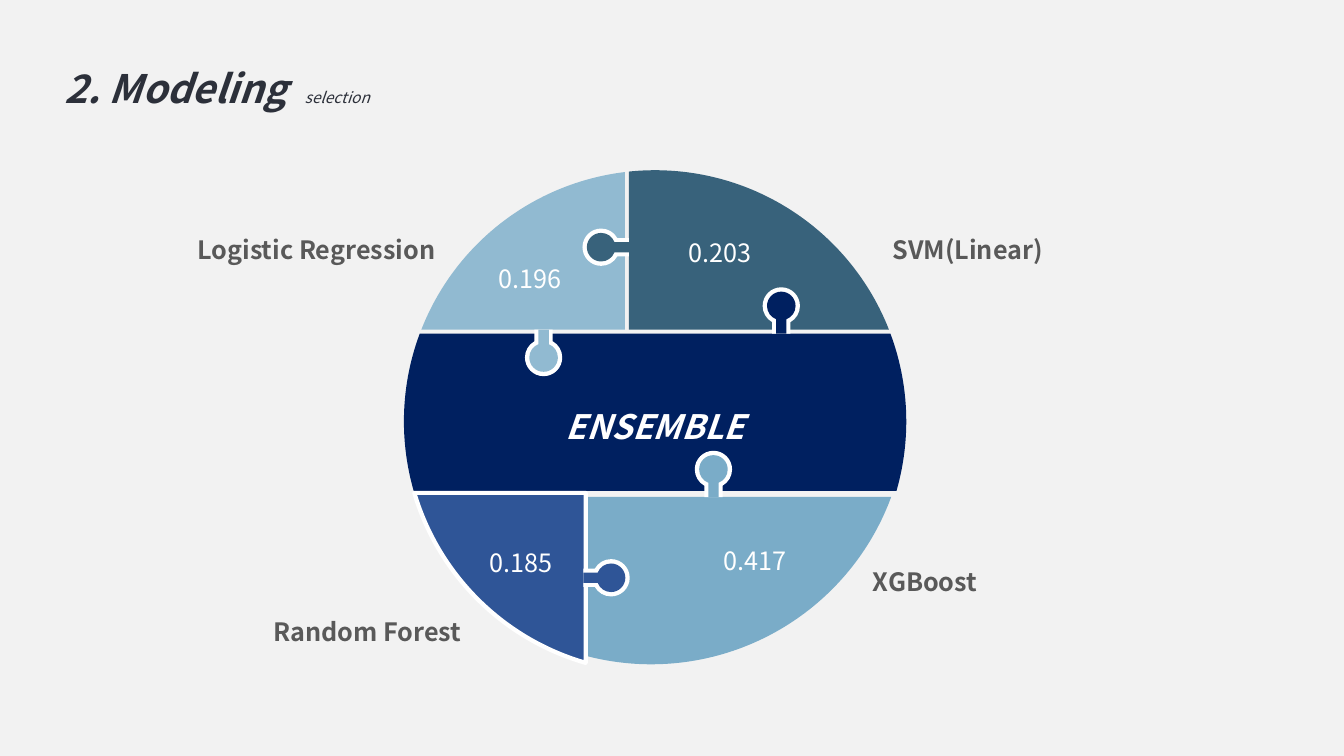
from dataclasses import dataclass
from itertools import product
from math import asin, atan2, cos, hypot, isclose, pi, remainder, sin, sqrt, tan

from lxml.etree import Element
from pptx import Presentation
from pptx.dml.color import RGBColor
from pptx.enum.text import MSO_ANCHOR, MSO_AUTO_SIZE, PP_ALIGN
from pptx.oxml.ns import qn
from pptx.shapes.autoshape import Shape
from pptx.slide import Slide
from pptx.text.text import _Paragraph, _Run
from pptx.util import Cm, Pt

FONT = "Noto Sans CJK KR"
BACKGROUND = RGBColor(0xF2, 0xF2, 0xF2)
WHITE = RGBColor(0xFF, 0xFF, 0xFF)
INK = RGBColor(0x2C, 0x30, 0x3A)
GREY = RGBColor(0x59, 0x59, 0x59)
TEAL = RGBColor(0x38, 0x62, 0x7B)
PALE = RGBColor(0x91, 0xBA, 0xD1)
NAVY = RGBColor(0x00, 0x20, 0x60)
SKY = RGBColor(0x7A, 0xAC, 0xC8)
BLUE = RGBColor(0x2F, 0x55, 0x97)

WIDTH, HEIGHT = 33.87, 19.05
TAB_REACH = 0.7
UP, DOWN, LEFT, RIGHT = (0, -1), (0, 1), (-1, 0), (1, 0)

Point = tuple[float, float]


@dataclass(frozen=True)
class Circle:
    x: float
    y: float
    r: float

    def at(self, angle: float) -> Point:
        return self.x + self.r * cos(angle), self.y + self.r * sin(angle)

    def holds(self, p: Point) -> bool:
        return isclose(hypot(p[0] - self.x, p[1] - self.y), self.r)

    def controls(self, p: Point, q: Point) -> tuple[Point, Point]:
        a, b = (atan2(y - self.y, x - self.x) for x, y in (p, q))
        h = self.r * 4 / 3 * tan(remainder(b - a, 2 * pi) / 4)
        return (
            (p[0] - h * sin(a), p[1] + h * cos(a)),
            (q[0] + h * sin(b), q[1] - h * cos(b)),
        )


@dataclass(frozen=True)
class Piece:
    color: RGBColor
    circle: Circle
    left: float = 0
    top: float = 0
    right: float = WIDTH
    bottom: float = HEIGHT
    outline: float = 0


@dataclass(frozen=True)
class Tab:
    color: RGBColor
    x: float
    y: float
    direction: tuple[int, int]


@dataclass(frozen=True)
class Label:
    text: str
    x: float
    y: float
    align: PP_ALIGN = PP_ALIGN.CENTER


DISC = Circle(16.51, 10.62, 6.33)
LOWER_DISC = Circle(16.41, 10.29, 6.45)

PIECES = [
    Piece(TEAL, DISC, left=15.85, bottom=8.31),
    Piece(PALE, DISC, right=15.75, bottom=8.31),
    Piece(NAVY, DISC, top=8.41, bottom=12.37),
    Piece(SKY, LOWER_DISC, left=14.76, top=12.52),
    Piece(BLUE, DISC, right=14.76, top=12.42, outline=3),
]
TABS = [
    Tab(SKY, 17.98, 12.53, UP),
    Tab(NAVY, 19.69, 8.41, UP),
    Tab(TEAL, 15.85, 6.23, LEFT),
    Tab(BLUE, 14.7, 14.56, RIGHT),
    Tab(PALE, 13.7, 8.31, DOWN),
]
MODELS = [
    Label("Logistic Regression", 1.75, 5.41, PP_ALIGN.RIGHT),
    Label("SVM(Linear)", 22.24, 5.41, PP_ALIGN.LEFT),
    Label("Random Forest", 2.41, 15.02, PP_ALIGN.RIGHT),
    Label("XGBoost", 21.75, 13.77, PP_ALIGN.LEFT),
]
WEIGHTS = [
    Label("0.196", 11.99, 6.5),
    Label("0.203", 16.78, 5.86),
    Label("0.185", 11.77, 13.67),
    Label("0.417", 17.65, 13.61),
]


def piece_points(piece: Piece) -> list[Point]:
    c = piece.circle
    xs, ys = (piece.left, piece.right), (piece.top, piece.bottom)
    rim = [c.at(quarter * pi / 2) for quarter in range(4)]
    for x, sign in product(xs, (-1, 1)):
        if abs(x - c.x) < c.r:
            rim.append((x, c.y + sign * sqrt(c.r**2 - (x - c.x) ** 2)))
    for y, sign in product(ys, (-1, 1)):
        if abs(y - c.y) < c.r:
            rim.append((c.x + sign * sqrt(c.r**2 - (y - c.y) ** 2), y))
    points = [
        (x, y) for x, y in rim if xs[0] <= x <= xs[1] and ys[0] <= y <= ys[1]
    ]
    points += [(x, y) for x, y in product(xs, ys) if hypot(x - c.x, y - c.y) < c.r]
    mx = sum(x for x, _ in points) / len(points)
    my = sum(y for _, y in points) / len(points)
    return sorted(points, key=lambda p: atan2(p[1] - my, p[0] - mx))


def add_outline(
    s: Slide, points: list[Point], circle: Circle, color: RGBColor, line: float = 0
) -> None:
    ends = points[1:] + points[:1]
    builder = s.shapes.build_freeform(*map(Cm, points[0]))
    builder.add_line_segments([(Cm(x), Cm(y)) for x, y in ends], close=True)
    sp = builder.convert_to_shape()
    segments = list(sp._element.iter(qn("a:lnTo")))
    for segment, p, q in zip(segments, points, ends):
        straight = any(isclose(a, b) for a, b in zip(p, q))
        if straight or not (circle.holds(p) and circle.holds(q)):
            continue
        segment.tag = qn("a:cubicBezTo")
        for i, (x, y) in enumerate(circle.controls(p, q)):
            local = {"x": str(Cm(x) - sp.left), "y": str(Cm(y) - sp.top)}
            segment.insert(i, Element(qn("a:pt"), local))
    sp.shadow.inherit = False
    sp.fill.solid()
    sp.fill.fore_color.rgb = color
    if line:
        sp.line.color.rgb = WHITE
        sp.line.width = Pt(line)
    else:
        sp.line.fill.background()


def add_tab(
    s: Slide, tab: Tab, radius: float, half_neck: float, color: RGBColor
) -> None:
    dx, dy = tab.direction
    circle = Circle(tab.x + TAB_REACH * dx, tab.y + TAB_REACH * dy, radius)
    neck = asin(half_neck / radius)
    back = atan2(-dy, -dx)
    turns = (neck, pi / 2, pi, 3 * pi / 2, 2 * pi - neck)
    first, last = (
        (tab.x + side * half_neck * dy, tab.y - side * half_neck * dx)
        for side in (1, -1)
    )
    points = [first, *(circle.at(back + turn) for turn in turns), last]
    add_outline(s, points, circle, color)


def add_run(
    p: _Paragraph, text: str, *, size: float, color: RGBColor,
    bold: bool = False, italic: bool = False,
) -> _Run:
    r = p.add_run()
    r.text = text
    r.font.name = FONT
    r.font.size = Pt(size)
    r.font.bold = bold
    r.font.italic = italic
    r.font.color.rgb = color
    return r


def prepare(sp: Shape, align: PP_ALIGN, spacing: float) -> _Paragraph:
    tf = sp.text_frame
    tf.word_wrap = True
    tf.auto_size = MSO_AUTO_SIZE.SHAPE_TO_FIT_TEXT
    tf.vertical_anchor = MSO_ANCHOR.TOP
    p = tf.paragraphs[0]
    p.alignment = align
    p.line_spacing = spacing
    p.space_before = Pt(0)
    return p


def add_label(
    s: Slide, label: Label, width: float, height: float, *, size: float = 18,
    color: RGBColor = WHITE, bold: bool = False, italic: bool = False,
    spacing: float = 1.5,
) -> None:
    sp = s.shapes.add_textbox(Cm(label.x), Cm(label.y), Cm(width), Cm(height))
    p = prepare(sp, label.align, spacing)
    add_run(p, label.text, size=size, color=color, bold=bold, italic=italic)


def add_title(s: Slide) -> None:
    sp = s.shapes.title
    sp.left, sp.top, sp.width, sp.height = Cm(1.36), Cm(0.89), Cm(16.94), Cm(1.85)
    p = prepare(sp, PP_ALIGN.LEFT, 1.5)
    add_run(p, "2. Modeling", size=28, color=INK, bold=True, italic=True)
    gap = add_run(p, " ", size=28, color=INK, bold=True, italic=True)
    gap.font._element.set("spc", "600")
    add_run(p, "selection", size=11, color=INK, italic=True)


def main() -> None:
    prs = Presentation()
    prs.slide_width, prs.slide_height = Cm(WIDTH), Cm(HEIGHT)
    s = prs.slides.add_slide(prs.slide_layouts[5])
    s.background.fill.solid()
    s.background.fill.fore_color.rgb = BACKGROUND
    add_title(s)
    for piece in PIECES:
        add_outline(s, piece_points(piece), piece.circle, piece.color, piece.outline)
    for tab in TABS:
        add_tab(s, tab, 0.47, 0.23, WHITE)
        add_tab(s, tab, 0.36, 0.13, tab.color)
    add_label(s, Label("ENSEMBLE", 10.77, 9.6), 11.48, 1.6,
              size=24, bold=True, italic=True)
    for model in MODELS:
        add_label(s, model, 9.47, 1.27, color=GREY, bold=True)
    for weight in WEIGHTS:
        add_label(s, weight, 2.74, 1.02, spacing=1.0)
    prs.save("out.pptx")


if __name__ == "__main__":
    main()
